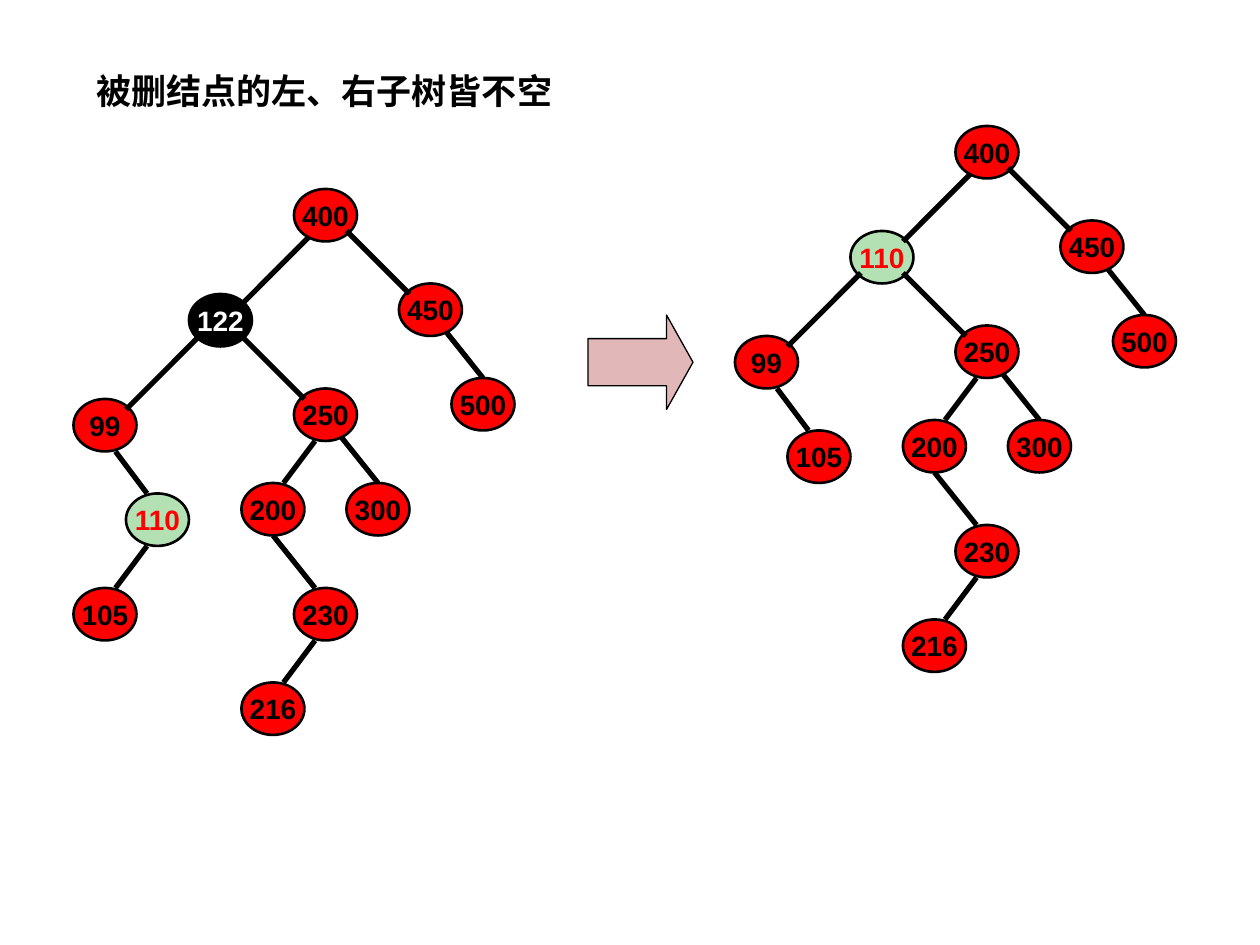
import pptx
import pptx.dml.color
import pptx.enum.shapes
import pptx.enum.text
import pptx.oxml.ns
import pptx.util
from lxml import etree

TITLE = "被删结点的左、右子树皆不空"

# Everything sits on a grid of 120 columns by 90 rows
COLUMNS, ROWS = 120, 90
SLIDE_WIDTH, SLIDE_HEIGHT = pptx.util.Inches(10), pptx.util.Inches(7.5)
NODE_WIDTH, NODE_HEIGHT = 6, 5

# Column and row of each tree position, counted from the tree's corner
POSITIONS = {
    "root": (21, 0),
    "left": (11, 10),
    "right": (31, 9),
    "right end": (36, 18),
    "low": (0, 20),
    "low child": (5, 29),
    "low end": (0, 38),
    "middle": (21, 19),
    "middle left": (16, 28),
    "middle right": (26, 28),
    "deep": (21, 38),
    "deep end": (16, 47),
}

# Where an edge leaves its parent and meets its child, within each node
JOINTS = {
    "root left": ((2, 4), (5, 1)),
    "wide left": ((1, 4), (5, 1)),
    "wide right": ((5, 4), (1, 1)),
    "steep left": ((2, 5), (4, 0)),
    "steep right": ((4, 5), (2, 0)),
    "side right": ((4, 4), (3, 0)),
    "long right": ((3, 5), (2, 0)),
}

# Back to front: a position is a node, a triple is an edge
LAYERS = [
    ("middle", "middle right", "side right"),
    ("right", "right end", "side right"),
    "left", "middle", "middle right", "low child", "middle left", "low",
    ("left", "low", "wide left"),
    ("left", "middle", "wide right"),
    ("middle", "middle left", "steep left"),
    ("low", "low child", "steep right"),
    "low end",
    ("low child", "low end", "steep left"),
    "deep",
    ("middle left", "deep", "long right"),
    "deep end",
    ("deep", "deep end", "steep left"),
    ("root", "left", "root left"),
    "root", "right", "right end",
    ("root", "right", "wide right"),
]

SHARED_KEYS = {
    "root": "400", "right": "450", "right end": "500", "low": "99",
    "middle": "250", "middle left": "200", "middle right": "300",
    "deep": "230", "deep end": "216",
}
TREES = [
    {"corner": (7, 18),
     "keys": {**SHARED_KEYS, "left": "122", "low child": "110", "low end": "105"}},
    {"corner": (70, 12),
     "keys": {**SHARED_KEYS, "left": "110", "low child": "105"}},
]

PLAIN = ("FF0000", "000000")
SPECIAL = {"122": ("000000", "FFFFFF"), "110": ("B3E1B3", "FF0000")}


def colour(code):
    return pptx.dml.color.RGBColor.from_string(code)


def across(columns):
    return round(SLIDE_WIDTH * columns / COLUMNS)


def down(rows):
    return round(SLIDE_HEIGHT * rows / ROWS)


def place(left, top, width, height):
    return across(left), down(top), across(width), down(height)


def shift(*points):
    return tuple(map(sum, zip(*points)))


def write(box, text, size, ink="000000", centred=False, wrap=True):
    frame = box.text_frame
    frame.word_wrap = wrap
    para = frame.paragraphs[0]
    para.alignment = (pptx.enum.text.PP_ALIGN.CENTER if centred
                      else pptx.enum.text.PP_ALIGN.LEFT)
    span = para.add_run()
    span.text = text
    span.font.name = "Arial"
    span.font.size = pptx.util.Pt(size)
    span.font.bold = True
    span.font.color.rgb = colour(ink)


def add_outlined(shapes, kind, area, fill, weight):
    shape = shapes.add_shape(kind, *place(*area))
    shape.shadow.inherit = False
    shape.fill.solid()
    shape.fill.fore_color.rgb = colour(fill)
    shape.line.color.rgb = colour("000000")
    shape.line.width = pptx.util.Pt(weight)
    return shape


def add_node(shapes, key, corner):
    fill, ink = SPECIAL.get(key, PLAIN)
    node = add_outlined(shapes, pptx.enum.shapes.MSO_SHAPE.OVAL,
                        (*corner, NODE_WIDTH, NODE_HEIGHT), fill, 1.5)
    node.text_frame.vertical_anchor = pptx.enum.text.MSO_ANCHOR.MIDDLE
    write(node, key, 16, ink=ink, centred=True, wrap=False)


def add_edge(shapes, start, end):
    edge = shapes.add_connector(
        pptx.enum.shapes.MSO_CONNECTOR.STRAIGHT,
        across(start[0]), down(start[1]), across(end[0]), down(end[1]))
    edge.line.color.rgb = colour("000000")
    edge.line.width = pptx.util.Pt(3)
    etree.SubElement(edge._element.spPr, pptx.oxml.ns.qn("a:effectLst"))


def add_tree(page, corner, keys):
    """Draw the nodes that have a key, and the edges between them."""
    shapes = page.shapes.add_group_shape().shapes
    for item in LAYERS:
        if item in keys:
            add_node(shapes, keys[item], shift(corner, POSITIONS[item]))
        elif isinstance(item, tuple):
            parent, child, joint = item
            if child in keys:
                leave, meet = JOINTS[joint]
                add_edge(shapes, shift(corner, POSITIONS[parent], leave),
                         shift(corner, POSITIONS[child], meet))


def main():
    deck = pptx.Presentation()
    deck.slide_width, deck.slide_height = SLIDE_WIDTH, SLIDE_HEIGHT
    page = deck.slides.add_slide(deck.slide_layouts[6])

    title = page.shapes.add_textbox(*place(8, 6, 57, 5.25))
    write(title, TITLE, 20)

    for tree in TREES:
        add_tree(page, **tree)

    arrow = add_outlined(page.shapes, pptx.enum.shapes.MSO_SHAPE.RIGHT_ARROW,
                         (56, 30, 10, 9), "E1B7B7", 0.75)
    arrow.adjustments[0] = 0.5
    arrow.adjustments[1] = 0.28

    deck.save("out.pptx")


if __name__ == "__main__":
    main()
